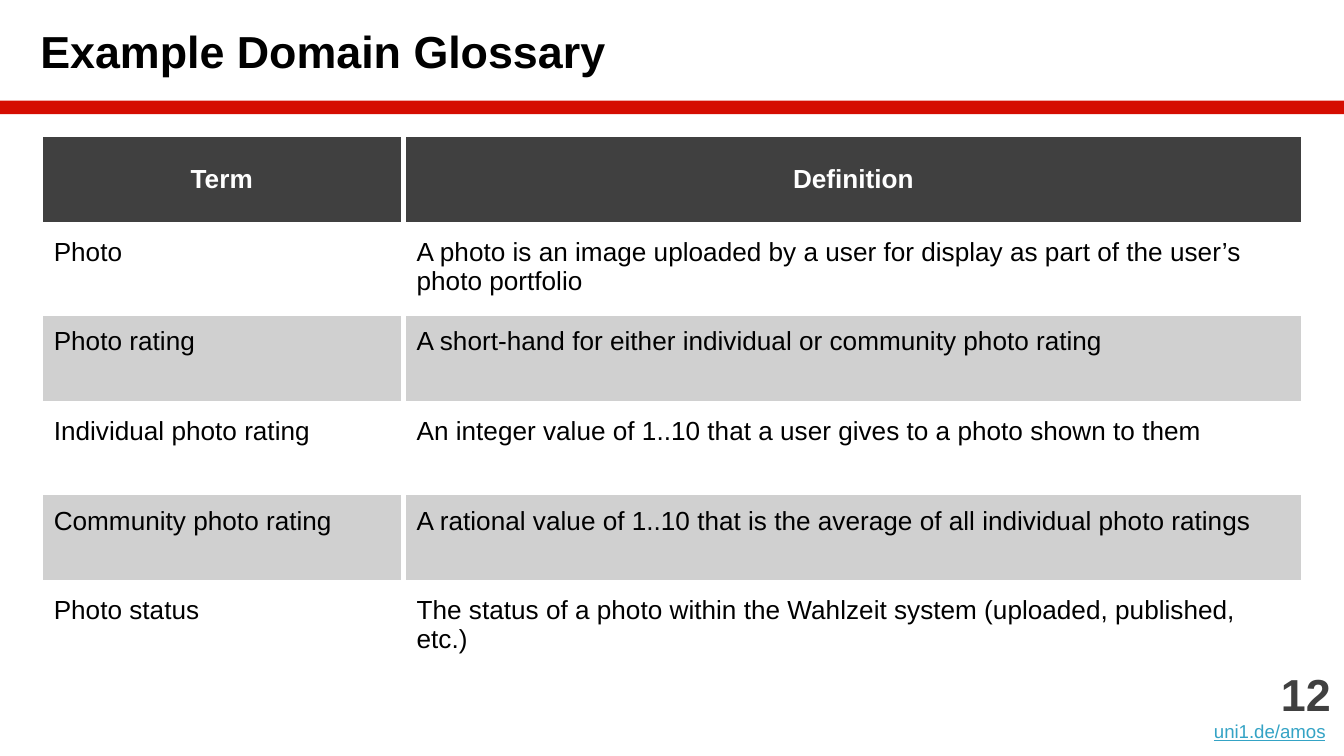
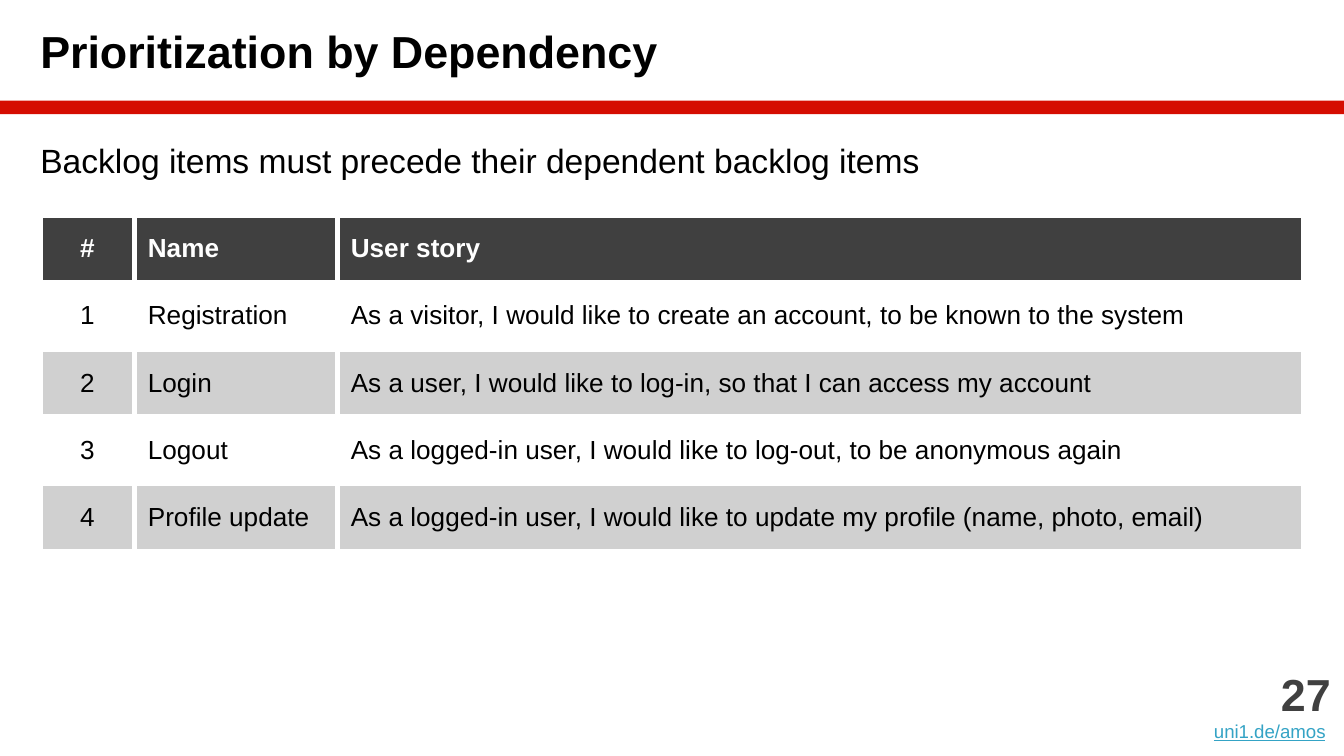
"""Build two slides: a domain glossary and a backlog prioritized by dependency."""
from lxml import etree
from pptx import Presentation
from pptx.dml.color import RGBColor
from pptx.enum.shapes import MSO_SHAPE
from pptx.enum.text import MSO_ANCHOR, PP_ALIGN
from pptx.oxml.ns import qn
from pptx.util import Inches, Pt

RECTANGLE = MSO_SHAPE.RECTANGLE
TOP, MIDDLE, BOTTOM = MSO_ANCHOR.TOP, MSO_ANCHOR.MIDDLE, MSO_ANCHOR.BOTTOM
LEFT, CENTER, RIGHT = PP_ALIGN.LEFT, PP_ALIGN.CENTER, PP_ALIGN.RIGHT
BLACK, WHITE, DARK, GRAY = "000000", "FFFFFF", "404040", "D0D0D0"
RED, BLUE = "D50D01", "34A3C5"
FONT = "Arial"
WIDTH = Inches(10)
HEIGHT = WIDTH * 9 // 16
MARGIN, INSET = Inches(0.3), Inches(0.1)
TITLE_HEIGHT, BAND_HEIGHT = Inches(0.75), Inches(0.1)
BODY_TOP, LEAD_HEIGHT = Inches(1), Inches(0.6)
FOOTER_WIDTH, FOOTER_HEIGHT = Inches(2), Inches(1)
BORDER = Pt(3)


def paint(target, color):
    if hasattr(target, "solid"):
        target.solid()
        target.fore_color.rgb = RGBColor.from_string(color)
    else:
        target.color.rgb = RGBColor.from_string(color)


def write(para, text, size=14, color=BLACK, bold=False, underline=False, align=LEFT):
    para.alignment = align
    span = para.add_run()
    span.text = text
    font = span.font
    font.name, font.size, font.bold, font.underline = FONT, Pt(size), bold, underline
    paint(font, color)


slides = [
    {
        "title": "Example Domain Glossary",
        "number": "12",
        "lead": None,
        "columns": [2.7, 6.7],
        "table_height": 4,
        "header_aligns": [CENTER, CENTER],
        "aligns": [LEFT, LEFT],
        "anchor": TOP,
        "rows": [
            ["Term", "Definition"],
            ["Photo", "A photo is an image uploaded by a user for display as part of the user’s photo portfolio"],
            ["Photo rating", "A short-hand for either individual or community photo rating"],
            ["Individual photo rating", "An integer value of 1..10 that a user gives to a photo shown to them"],
            ["Community photo rating", "A rational value of 1..10 that is the average of all individual photo ratings"],
            ["Photo status", "The status of a photo within the Wahlzeit system (uploaded, published, etc.)"],
        ],
    },
    {
        "title": "Prioritization by Dependency",
        "number": "27",
        "lead": "Backlog items must precede their dependent backlog items",
        "columns": [0.7, 1.51, 7.19],
        "table_height": 2.5,
        "header_aligns": [CENTER, LEFT, LEFT],
        "aligns": [CENTER, LEFT, LEFT],
        "anchor": MIDDLE,
        "rows": [
            ["#", "Name", "User story"],
            ["1", "Registration", "As a visitor, I would like to create an account, to be known to the system"],
            ["2", "Login", "As a user, I would like to log-in, so that I can access my account"],
            ["3", "Logout", "As a logged-in user, I would like to log-out, to be anonymous again"],
            ["4", "Profile update", "As a logged-in user, I would like to update my profile (name, photo, email)"],
        ],
    },
]

deck = Presentation()
deck.slide_width, deck.slide_height = WIDTH, HEIGHT
blank = deck.slide_layouts[6]

for content in slides:
    page = deck.slides.add_slide(blank)
    paint(page.background.fill, WHITE)

    band = page.shapes.add_shape(RECTANGLE, 0, TITLE_HEIGHT, WIDTH, BAND_HEIGHT)
    band.shadow.inherit = False
    paint(band.fill, RED)
    band.line.fill.background()

    title = page.shapes.add_textbox(0, 0, WIDTH, TITLE_HEIGHT).text_frame
    title.word_wrap, title.vertical_anchor = True, MIDDLE
    title.margin_left = MARGIN
    title.margin_top = title.margin_right = title.margin_bottom = INSET
    write(title.paragraphs[0], content["title"], size=24, bold=True)

    footer = page.shapes.add_textbox(
        WIDTH - FOOTER_WIDTH, HEIGHT - FOOTER_HEIGHT, FOOTER_WIDTH, FOOTER_HEIGHT
    ).text_frame
    footer.word_wrap, footer.vertical_anchor = True, BOTTOM
    footer.margin_left = footer.margin_top = footer.margin_right = footer.margin_bottom = INSET
    write(footer.paragraphs[0], content["number"], size=24, color=DARK, bold=True, align=RIGHT)
    address = footer.add_paragraph()
    write(address, "uni1.de/amos", size=10, color=BLUE, underline=True, align=RIGHT)
    write(address, " ", size=10, color=DARK, align=RIGHT)

    table_top = BODY_TOP
    table_width = WIDTH - 2 * MARGIN
    if content["lead"]:
        lead = page.shapes.add_textbox(MARGIN, BODY_TOP, table_width, LEAD_HEIGHT).text_frame
        lead.word_wrap = True
        lead.margin_left = lead.margin_top = lead.margin_right = lead.margin_bottom = 0
        lead.paragraphs[0].line_spacing = 1.15
        write(lead.paragraphs[0], content["lead"], size=18)
        table_top += LEAD_HEIGHT

    rows, columns = content["rows"], content["columns"]
    table = page.shapes.add_table(
        len(rows), len(columns), MARGIN, table_top, table_width, Inches(content["table_height"])
    ).table
    table.horz_banding = False
    for column, width in zip(table.columns, columns):
        column.width = Inches(width)

    for row_index, texts in enumerate(rows):
        header = row_index == 0
        fill = DARK if header else (WHITE, GRAY)[(row_index - 1) % 2]
        aligns = content["header_aligns"] if header else content["aligns"]
        for column_index, text in enumerate(texts):
            cell = table.cell(row_index, column_index)
            cell.margin_left = cell.margin_top = cell.margin_right = cell.margin_bottom = INSET
            cell.vertical_anchor = MIDDLE if header else content["anchor"]
            write(cell.text_frame.paragraphs[0], text, bold=header,
                  color=WHITE if header else BLACK, align=aligns[column_index])
            properties = cell._tc.get_or_add_tcPr()
            for side in ("a:lnL", "a:lnR", "a:lnT", "a:lnB"):
                line = etree.SubElement(properties, qn(side), w=str(int(BORDER)))
                solid = etree.SubElement(line, qn("a:solidFill"))
                etree.SubElement(solid, qn("a:srgbClr"), val=WHITE)
            paint(cell.fill, fill)

deck.save("out.pptx")
